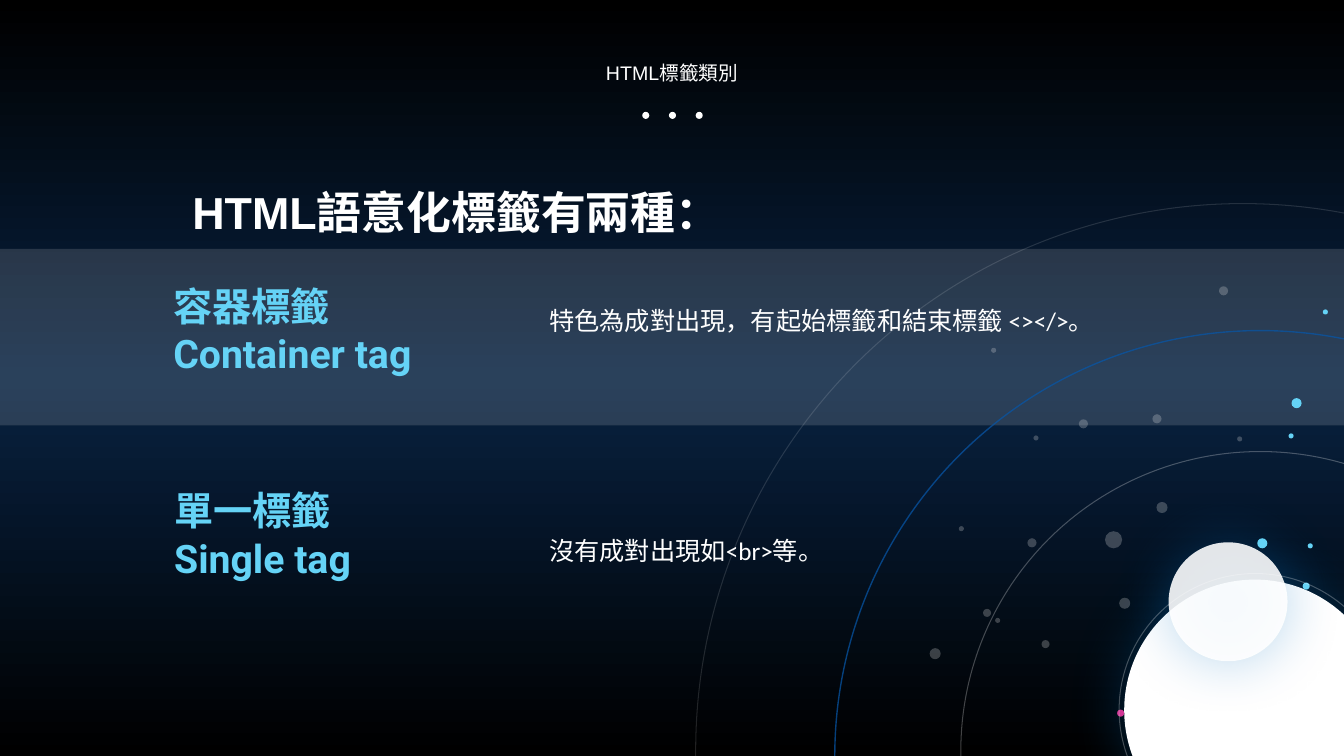
from lxml import etree
from pptx import Presentation
from pptx.dml.color import RGBColor
from pptx.enum.shapes import MSO_SHAPE
from pptx.enum.text import MSO_ANCHOR, PP_ALIGN
from pptx.oxml.ns import qn
from pptx.util import Inches, Pt

OVAL, RECT = MSO_SHAPE.OVAL, MSO_SHAPE.RECTANGLE
LEFT, CENTER = PP_ALIGN.LEFT, PP_ALIGN.CENTER
WHITE, CYAN, PINK, GREY, BLUE = "FFFFFF", "65D3F6", "D13694", "E7E6E6", "0756A7"

BACKGROUND = [(0, "000000"), (50, "082241"), (100, "000000")]
BAND = (0, 2.47, 13.33, 1.75)

# left, top, diameter, colour, line width, opacity
ORBITS = [
    (8.28, 3.28, 8.44, BLUE, 1, 72),
    (9.53, 4.48, 5.94, WHITE, 0.75, 25),
    (6.9, 2.02, 10.85, WHITE, 0.75, 13),
]
PLANET_RING = (11.1, 5.69, 2.7, WHITE, 0.75, 25)
# left, top, diameter, opacity
PLANETS = [(11.15, 5.75, 2.59, 100), (11.59, 5.38, 1.18, 89)]
GLOW = {"color": "0070C0", "opacity": 31, "blur": 42}

# left, top, diameter
RING_DOTS = [(12.92, 5.78, 0.07, CYAN), (11.08, 7.04, 0.07, PINK)]
CYAN_DOTS = [
    (12.47, 5.34, 0.1), (12.97, 5.39, 0.05), (12.81, 3.95, 0.1),
    (12.78, 4.3, 0.05), (13.12, 3.07, 0.05),
]
GREY_DOTS = [
    (11.1, 5.93, 0.11), (10.96, 5.27, 0.17), (11.47, 4.98, 0.11),
    (10.33, 6.35, 0.08), (9.75, 6.04, 0.08), (9.22, 6.43, 0.11),
    (10.19, 5.34, 0.09), (9.87, 6.13, 0.05), (10.25, 4.32, 0.05),
    (9.83, 3.45, 0.05), (9.51, 5.22, 0.05), (10.7, 4.16, 0.09),
    (11.43, 4.11, 0.09), (12.09, 2.84, 0.09), (12.27, 4.33, 0.05),
]

STYLES = {
    "header": {"name": "Arial", "size": Pt(14), "bold": False},
    "title": {"name": "Arial", "size": Pt(32), "bold": True},
    "tag": {"name": "Roboto", "size": Pt(28), "bold": True},
    "body": {"name": "Calibri", "size": Pt(18), "bold": False},
}
TEXTS = [
    ((4.72, 0.56, 3.89, 0.34), ["HTML標籤類別"], "header", WHITE, CENTER),
    ((1.81, 1.78, 5.57, 0.64), ["HTML語意化標籤有兩種："], "title", WHITE, LEFT),
    ((1.62, 2.75, 3.99, 1.04), ["容器標籤", "Container tag"], "tag", CYAN, LEFT),
    ((1.63, 4.78, 3.9, 1.04), ["單一標籤", "Single tag"], "tag", CYAN, LEFT),
    ((5.35, 2.98, 7.12, 0.4), ["特色為成對出現，有起始標籤和結束標籤 <></>。"],
     "body", WHITE, LEFT),
    ((5.35, 5.26, 2.95, 0.4), ["沒有成對出現如<br>等。"], "body", WHITE, LEFT),
]


def rgb(color):
    return RGBColor.from_string(color)


def set_color(fill, color, opacity=100):
    fill.solid()
    fill.fore_color.rgb = rgb(color)
    if opacity < 100:
        clr = fill._xPr.find(".//" + qn("a:srgbClr"))
        etree.SubElement(clr, qn("a:alpha"), val=str(opacity * 1000))


def add_filled(kind, box, color, opacity=100):
    sp = slide.shapes.add_shape(kind, *map(Inches, box))
    sp.shadow.inherit = False
    set_color(sp.fill, color, opacity)
    sp.line.fill.background()
    return sp


def add_dot(left, top, size, color, opacity=100):
    return add_filled(OVAL, (left, top, size, size), color, opacity)


def add_orbit(left, top, size, color, width, opacity):
    sp = add_dot(left, top, size, color)
    sp.fill.background()
    set_color(sp.line.fill, color, opacity)
    sp.line.width = Pt(width)


def add_glow(sp):
    """Give the shape a soft shadow without offset."""
    effects = sp._element.spPr.find(qn("a:effectLst"))
    shadow = etree.SubElement(
        effects, qn("a:outerShdw"), blurRad=str(Pt(GLOW["blur"])),
        dist="0", dir="0", algn="ctr", rotWithShape="0")
    clr = etree.SubElement(shadow, qn("a:srgbClr"), val=GLOW["color"])
    etree.SubElement(clr, qn("a:alpha"), val=str(GLOW["opacity"] * 1000))


def add_text(box, lines, style, color, align):
    tf = slide.shapes.add_textbox(*map(Inches, box)).text_frame
    tf.word_wrap = True
    tf.vertical_anchor = MSO_ANCHOR.TOP
    for i, line in enumerate(lines):
        p = tf.add_paragraph() if i else tf.paragraphs[0]
        p.alignment = align
        r = p.add_run()
        r.text = line
        for key, value in STYLES[style].items():
            setattr(r.font, key, value)
        r.font.color.rgb = rgb(color)


def set_background(stops):
    fill = slide.background.fill
    fill.gradient()
    fill.gradient_angle = 270
    stop_list = slide.background._cSld.find(".//" + qn("a:gsLst"))
    for stop in list(stop_list):
        stop_list.remove(stop)
    for position, color in stops:
        stop = etree.SubElement(stop_list, qn("a:gs"), pos=str(position * 1000))
        etree.SubElement(stop, qn("a:srgbClr"), val=color)


prs = Presentation()
prs.slide_width, prs.slide_height = Inches(13.33), Inches(7.5)
slide = prs.slides.add_slide(prs.slide_layouts[6])

set_background(BACKGROUND)
add_filled(RECT, BAND, WHITE, 14)
for i in range(3):
    add_dot(6.37 + i * 0.265, 1.11, 0.07, WHITE)
for orbit in ORBITS:
    add_orbit(*orbit)
for left, top, size, opacity in PLANETS:
    add_glow(add_dot(left, top, size, WHITE, opacity))
for dot in RING_DOTS:
    add_dot(*dot)
add_orbit(*PLANET_RING)
for dot in CYAN_DOTS:
    add_dot(*dot, CYAN)
for dot in GREY_DOTS:
    add_dot(*dot, GREY, 25)
for text in TEXTS:
    add_text(*text)

prs.save("out.pptx")
